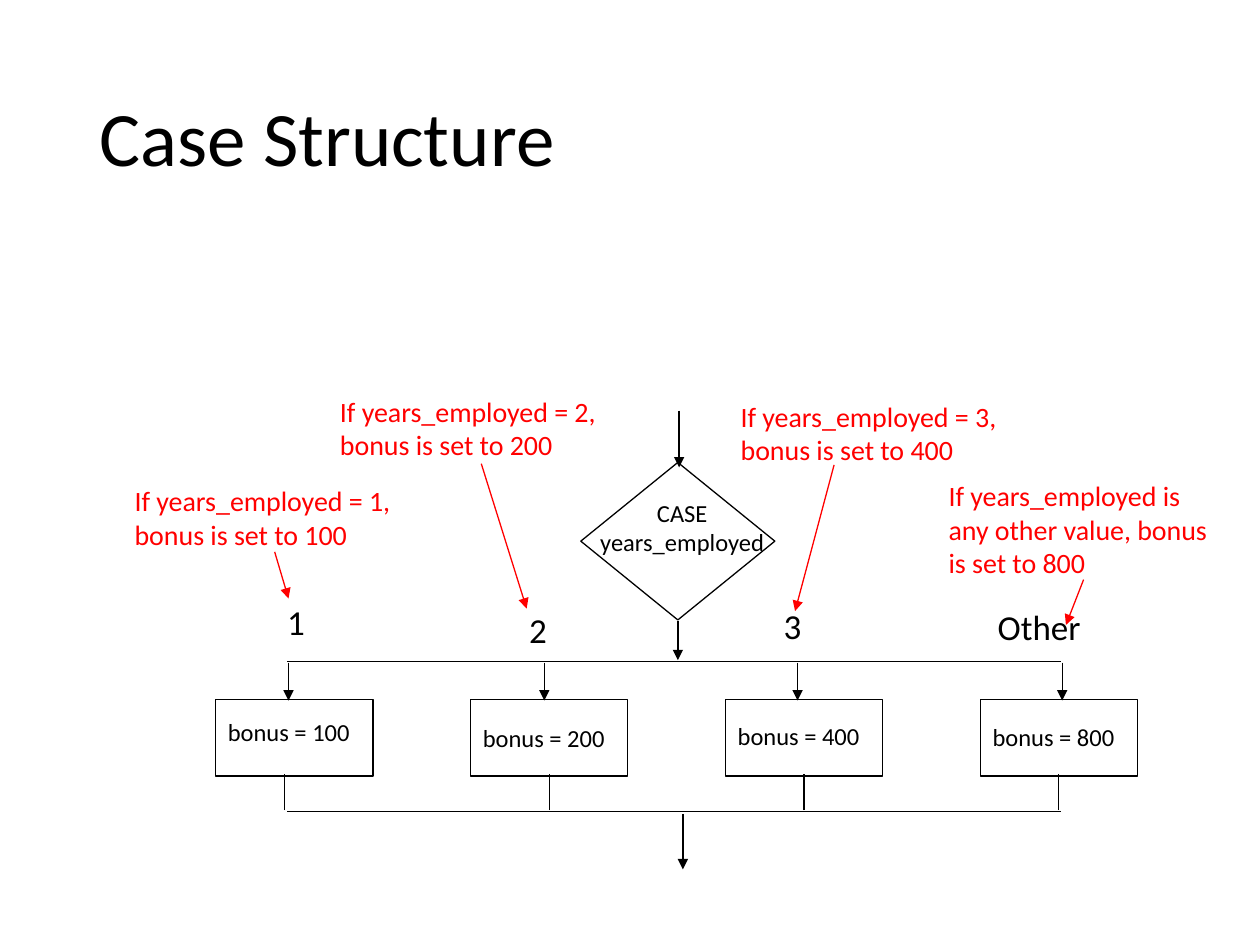
from lxml import etree
from pptx import Presentation, util as u
from pptx.dml.color import RGBColor
from pptx.enum import shapes, text
from pptx.oxml import ns

COLORS = {"ink": "000000", "note": "FF0000"}
FONT = "Calibri"

presentation = Presentation()
presentation.slide_width, presentation.slide_height = u.Inches(10), u.Inches(7.5)
slide = presentation.slides.add_slide(presentation.slide_layouts[5])


def add_line(start, end, color="ink", arrow=False):
    points = [u.Inches(value) for value in (*start, *end)]
    line = slide.shapes.add_connector(shapes.MSO_CONNECTOR.STRAIGHT, *points)
    line.line.width = u.Pt(0.75)
    line.line.color.rgb = RGBColor.from_string(COLORS[color])
    properties = line._element.spPr
    if arrow:
        etree.SubElement(properties.find(ns.qn("a:ln")), ns.qn("a:tailEnd"), type="triangle")
    etree.SubElement(properties, ns.qn("a:effectLst"))


def write(shape, box, words, size, color="ink", align=text.PP_ALIGN.LEFT):
    shape.left, shape.top, shape.width, shape.height = [u.Inches(value) for value in box]
    frame = shape.text_frame
    frame.word_wrap = True
    frame.text = words
    paragraph = frame.paragraphs[0]
    paragraph.alignment = align
    for run in paragraph.runs:
        run.font.name = FONT
        run.font.size = u.Pt(size)
        run.font.color.rgb = RGBColor.from_string(COLORS[color])


# Title
title = slide.shapes.title
write(title, (0.69, 0.4, 8.62, 1.45), "Case Structure", 44)
title.text_frame.vertical_anchor = text.MSO_ANCHOR.MIDDLE
title.text_frame.paragraphs[0].line_spacing = 0.9

# Decision diamond and the four bonus boxes, one per column
COLUMN_LEFT, COLUMN_STEP = 1.71, 2.023
BOX_TOP, BOX_WIDTH, BOX_HEIGHT = 5.55, 1.25, 0.61
column_lefts = [COLUMN_LEFT + i * COLUMN_STEP for i in range(4)]
outlines = [(shapes.MSO_SHAPE.FLOWCHART_DECISION, 4.61, 3.67, 1.54, 1.25)]
outlines += [(shapes.MSO_SHAPE.RECTANGLE, left, BOX_TOP, BOX_WIDTH, BOX_HEIGHT)
             for left in column_lefts]
for kind, *box in outlines:
    outline = slide.shapes.add_shape(kind, *[u.Inches(value) for value in box])
    outline.shadow.inherit = False
    outline.fill.background()
    outline.line.color.rgb = RGBColor.from_string(COLORS["ink"])
    outline.line.width = u.Pt(0.75)

# Flow through the diamond, the two rails and the exit
SPLIT, MERGE = 5.25, 6.44
add_line((5.39, 3.26), (5.39, 3.71), arrow=True)
add_line((5.38, 4.93), (5.38, 5.24), arrow=True)
for rail in (SPLIT, MERGE):
    add_line((2.28, rail), (8.42, rail))
add_line((5.42, 6.46), (5.42, 6.9), arrow=True)
write(slide.shapes.add_textbox(0, 0, 0, 0), (4.4, 3.9, 2.03, 0.57),
      "CASE\vyears_employed", 14, align=text.PP_ALIGN.CENTER)

# Branches: entry x, exit x, label, label box, bonus, bonus text top
branches = [
    (2.29, 2.26, "1", (2.18, 4.72, 0.35, 0.43), 100, 5.64),
    (4.32, 4.36, "2", (4.1, 4.78, 0.35, 0.43), 200, 5.69),
    (6.33, 6.38, "3", (6.12, 4.75, 0.35, 0.43), 400, 5.67),
    (8.43, 8.4, "Other", (7.82, 4.76, 1.04, 0.43), 800, 5.68),
]
for left, (entry, leave, label, label_box, bonus, bonus_top) in zip(column_lefts, branches):
    add_line((entry, SPLIT + 0.01), (entry, BOX_TOP + 0.01), arrow=True)
    add_line((leave, MERGE - 0.01), (leave, 6.14))
    write(slide.shapes.add_textbox(0, 0, 0, 0), label_box, label, 20)
    write(slide.shapes.add_textbox(0, 0, 0, 0), (left, bonus_top, BOX_WIDTH, 0.33),
          f"bonus = {bonus}", 14)

# Red notes: left, top, height, condition, bonus, arrow start, arrow end
notes = [
    (0.97, 3.79, 0.64, "= 1", 100, (2.18, 4.38), (2.29, 4.75)),
    (2.6, 3.08, 0.64, "= 2", 200, (3.82, 3.68), (4.18, 4.83)),
    (5.78, 3.12, 0.64, "= 3", 400, (6.62, 3.69), (6.31, 4.85)),
    (7.43, 3.75, 0.9, "is any other value", 800, (8.6, 4.6), (8.46, 4.96)),
]
for left, top, height, condition, bonus, start, end in notes:
    write(slide.shapes.add_textbox(0, 0, 0, 0), (left, top, 2.33, height),
          f"If years_employed {condition}, bonus is set to {bonus}", 16, "note")
    add_line(start, end, "note", arrow=True)

presentation.save("out.pptx")
